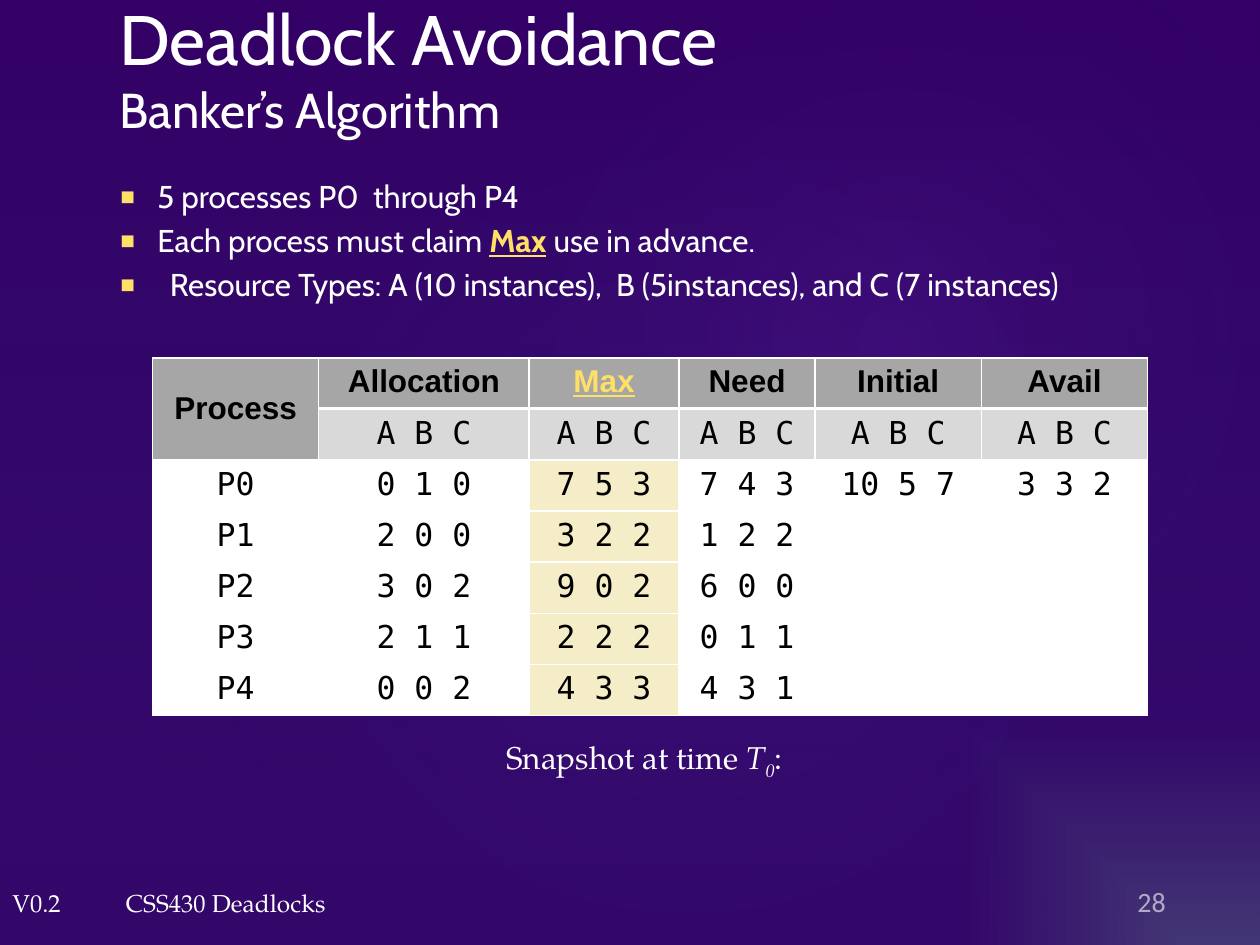
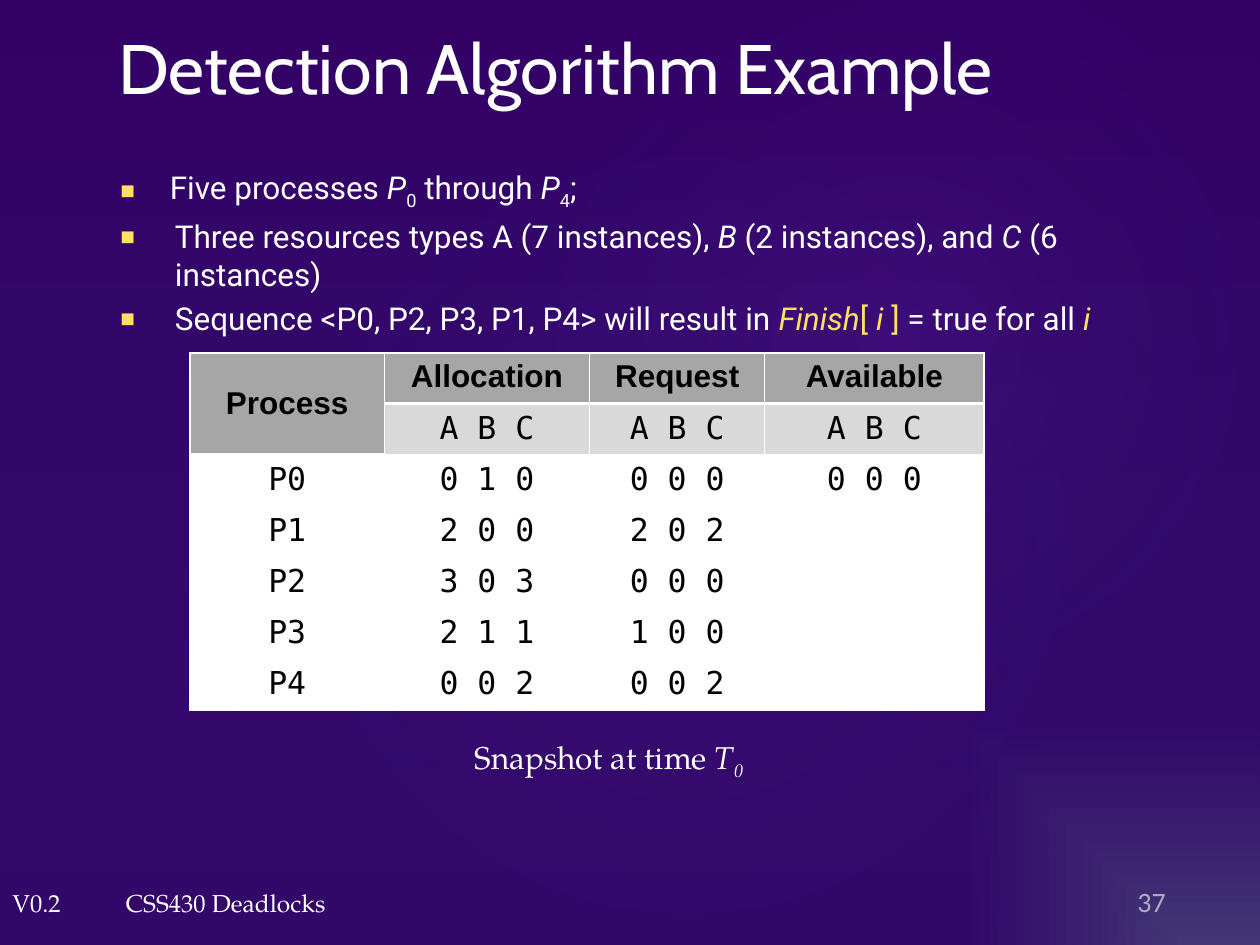
from dataclasses import dataclass
from typing import NamedTuple

from pptx import Presentation, util as u
from pptx.dml.color import RGBColor
from pptx.enum import shapes, text
from pptx.oxml import parse_xml
from pptx.oxml.ns import nsdecls


@dataclass(frozen=True)
class Theme:
    white: str = "FFFFFF"
    black: str = "000000"
    accent: str = "FFE066"
    header: str = "A6A6A6"
    subheader: str = "D9D9D9"
    highlight: str = "F5EDC7"
    title_font: str = "Cabin"
    serif_font: str = "TeX Gyre Pagella"
    header_font: str = "Arial"
    mono_font: str = "DejaVu Sans Mono"
    number_font: str = "Calibri"
    title_size: int = 40
    subtitle_size: int = 28
    body_size: int = 18
    number_size: int = 16
    footer_size: int = 14


THEME = Theme()


class Box(NamedTuple):
    left: float
    top: float
    width: float
    height: float

    def lengths(self) -> list[u.Length]:
        return [u.Inches(value) for value in self]


class Stop(NamedTuple):
    position: int
    color: str
    opacity: int = 100


class Piece(NamedTuple):
    """A stretch of text and how it differs from the text around it."""
    content: str
    format: dict = {}


class Bullet(NamedTuple):
    pieces: list[Piece]
    margin: float
    hanging: float


class Glow(NamedTuple):
    box: Box
    kind: shapes.MSO_SHAPE
    stops: list[Stop]
    direction: str
    rotation: float = 0


class Column(NamedTuple):
    heading: str
    width: float
    values: list[str]
    highlighted: bool = False


class DeckSlide(NamedTuple):
    number: int
    title: list[Piece]
    title_left: float
    body_top: float
    body_font: str
    bullets: list[Bullet]
    table_box: Box
    columns: list[Column]
    caption_box: Box
    caption: list[Piece]


ITALIC = {"italic": True}
SUBSCRIPT = {"baseline": -25}
ACCENT = {"color": THEME.accent}
ACCENT_ITALIC = ACCENT | ITALIC
KEYWORD = ACCENT | {"bold": True, "underline": True}

# Gradient directions and the shared backdrop
DOWN = '<a:lin ang="5400000" scaled="0"/>'
CENTRE = ('<a:path path="circle"><a:fillToRect l="50000" t="50000" '
          'r="50000" b="50000"/></a:path>')
CORNER = '<a:path path="rect"><a:fillToRect l="100000" t="100000"/></a:path>'
BACKGROUND = [Stop(0, "463673"), Stop(47, "350267"), Stop(100, "350267")]
GLOWS = [
    Glow(Box(0, 0, 10, 7.5), shapes.MSO_SHAPE.RECTANGLE,
         [Stop(0, "330066", 36), Stop(100, "263B86", 10)], DOWN),
    Glow(Box(1.5, 1.14, 7.92, 6.24), shapes.MSO_SHAPE.OVAL,
         [Stop(0, "A347FF", 7), Stop(58, "263B86", 0)], CENTRE, 328.7),
    Glow(Box(3.58, 0.13, 7.09, 5.2), shapes.MSO_SHAPE.OVAL,
         [Stop(0, "A347FF", 8), Stop(58, "263B86", 0)], CENTRE, 328.7),
]


def gradient(stops: list[Stop], direction: str):
    marks = "".join(
        f'<a:gs pos="{stop.position * 1000}"><a:srgbClr val="{stop.color}">'
        f'<a:alpha val="{stop.opacity * 1000}"/></a:srgbClr></a:gs>'
        for stop in stops)
    return parse_xml(f'<a:gradFill {nsdecls("a")} rotWithShape="1">'
                     f'<a:gsLst>{marks}</a:gsLst>{direction}</a:gradFill>')


def write(paragraph, pieces: list[Piece], base: dict) -> None:
    for piece in pieces:
        if piece.content == "\n":
            paragraph.add_line_break()
            continue
        run = paragraph.add_run()
        run.text = piece.content
        values = base | piece.format
        run.font.color.rgb = RGBColor.from_string(values.pop("color"))
        baseline = values.pop("baseline", 0)
        if baseline:
            run.font._element.set("baseline", str(baseline * 1000))
        opacity = values.pop("opacity", 100)
        if opacity < 100:
            color = run.font._element.xpath(".//a:srgbClr")[0]
            color.append(parse_xml(
                f'<a:alpha {nsdecls("a")} val="{opacity * 1000}"/>'))
        for name, value in values.items():
            setattr(run.font, name, value)


def style(font: str, size: int, color: str = THEME.white, **extra) -> dict:
    return {"name": font, "size": u.Pt(size), "color": color} | extra


def add_text(slide, box: Box, pieces: list[Piece], base: dict, **frame_format):
    frame = slide.shapes.add_textbox(*box.lengths()).text_frame
    for name, value in ({"word_wrap": True} | frame_format).items():
        setattr(frame, name, value)
    write(frame.paragraphs[0], pieces, base)
    return frame


def draw_backdrop(slide) -> None:
    slide.background.fill.solid()
    properties = slide._element.xpath(".//p:bgPr")[0]
    properties.replace(properties[0], gradient(BACKGROUND, CORNER))
    for glow in GLOWS:
        shape = slide.shapes.add_shape(glow.kind, *glow.box.lengths())
        shape.rotation = glow.rotation
        shape.shadow.inherit = False
        shape.line.fill.background()
        shape._element.spPr.insert(2, gradient(glow.stops, glow.direction))


def draw_footer(slide, number: int) -> None:
    footer = style(THEME.serif_font, THEME.footer_size)
    add_text(slide, Box(0, 7, 0.59, 0.34), [Piece("V0.2")], footer,
             word_wrap=False)
    add_text(slide, Box(0.9, 7, 5.68, 0.34), [Piece("CSS430 Deadlocks")], footer)
    frame = add_text(slide, Box(8.23, 6.93, 1.12, 0.4), [Piece(str(number))],
                     style(THEME.number_font, THEME.number_size, opacity=60),
                     vertical_anchor=text.MSO_ANCHOR.MIDDLE,
                     margin_bottom=u.Inches(0.01))
    frame.paragraphs[0].alignment = text.PP_ALIGN.RIGHT


def draw_bullets(slide, top: float, bullets: list[Bullet], font: str) -> None:
    frame = add_text(slide, Box(0.85, top, 8.5, 1.53), [], {},
                     vertical_anchor=text.MSO_ANCHOR.MIDDLE)
    for index, bullet in enumerate(bullets):
        paragraph = frame.add_paragraph() if index else frame.paragraphs[0]
        write(paragraph, bullet.pieces, style(font, THEME.body_size))
        properties = paragraph._p.get_or_add_pPr()
        properties.set("marL", str(u.Inches(bullet.margin)))
        properties.set("indent", str(-u.Inches(bullet.hanging)))
        for markup in ('<a:spcBef {}><a:spcPct val="20000"/></a:spcBef>',
                       '<a:buClr {}><a:srgbClr val="%s"/></a:buClr>' % THEME.accent,
                       '<a:buSzPct {} val="150000"/>',
                       '<a:buFont {} typeface="Arial"/>',
                       '<a:buChar {} char="▪"/>'):
            properties.append(parse_xml(markup.format(nsdecls("a"))))


def set_borders(cell, row: int) -> None:
    properties = cell._tc.get_or_add_tcPr()
    widths = {"L": 1, "R": 1, "T": 2 if row == 1 else 1, "B": 2 if row == 0 else 1}
    for side, width in widths.items():
        properties.append(parse_xml(
            f'<a:ln{side} {nsdecls("a")} w="{u.Pt(width)}"><a:solidFill>'
            f'<a:srgbClr val="{THEME.white}"/></a:solidFill></a:ln{side}>'))


def draw_table(slide, box: Box, columns: list[Column]) -> None:
    row_count = 7
    table = slide.shapes.add_table(row_count, len(columns), *box.lengths()).table
    table.horz_banding = False
    for row in table.rows:
        row.height = u.Inches(box.height / row_count)
    heading_style = style(THEME.header_font, THEME.body_size, THEME.black, bold=True)
    value_style = style(THEME.mono_font, THEME.body_size, THEME.black, bold=False)
    for index, column in enumerate(columns):
        table.columns[index].width = u.Inches(column.width)
        heading_format = ACCENT | {"underline": True} if column.highlighted else {}
        value_fill = THEME.highlight if column.highlighted else THEME.white
        letters = "A B C" if index else ""
        contents = [column.heading, letters, *column.values]
        contents += [""] * (row_count - len(contents))
        for row, content in enumerate(contents):
            cell = table.cell(row, index)
            set_borders(cell, row)
            cell.fill.solid()
            cell.fill.fore_color.rgb = RGBColor.from_string(
                (THEME.header, THEME.subheader)[row] if row < 2 else value_fill)
            paragraph = cell.text_frame.paragraphs[0]
            paragraph.alignment = text.PP_ALIGN.CENTER
            if content:
                piece = Piece(content, {} if row else heading_format)
                write(paragraph, [piece], value_style if row else heading_style)
    process = table.cell(0, 0)
    process.merge(table.cell(1, 0))
    process.vertical_anchor = text.MSO_ANCHOR.MIDDLE


def draw_slide(presentation, content: DeckSlide) -> None:
    slide = presentation.slides.add_slide(presentation.slide_layouts[6])
    draw_backdrop(slide)
    draw_footer(slide, content.number)
    add_text(slide, Box(content.title_left, 0, 8.5, 1.06), content.title,
             style(THEME.title_font, THEME.title_size),
             vertical_anchor=text.MSO_ANCHOR.MIDDLE)
    draw_bullets(slide, content.body_top, content.bullets, content.body_font)
    draw_table(slide, content.table_box, content.columns)
    add_text(slide, content.caption_box, content.caption,
             style(THEME.serif_font, THEME.body_size), word_wrap=False)


# Slide contents
PROCESSES = [f"P{index}" for index in range(5)]
SNAPSHOT = [Piece("Snapshot at time "), Piece("T", ITALIC),
            Piece("0", ITALIC | SUBSCRIPT)]
SLIDES = [
    DeckSlide(
        28,
        [Piece("Deadlock Avoidance"), Piece("\n"),
         Piece("Banker’s Algorithm", {"size": u.Pt(THEME.subtitle_size)})],
        0.85, 1.14, THEME.title_font,
        [Bullet([Piece("5 processes P0  through P4")], 0.3, 0.4),
         Bullet([Piece("Each process must claim "), Piece("Max", KEYWORD),
                 Piece(" use in advance.")], 0.3, 0.4),
         Bullet([Piece("Resource Types: A (10 instances),  B (5instances), "
                       "and C (7 instances)")], 0.4, 0.4)],
        Box(1.21, 2.84, 7.9, 2.84),
        [Column("Process", 1.32, PROCESSES),
         Column("Allocation", 1.67, ["0 1 0", "2 0 0", "3 0 2", "2 1 1", "0 0 2"]),
         Column("Max", 1.19, ["7 5 3", "3 2 2", "9 0 2", "2 2 2", "4 3 3"], True),
         Column("Need", 1.08, ["7 4 3", "1 2 2", "6 0 0", "0 1 1", "4 3 1"]),
         Column("Initial", 1.32, ["10 5 7"]),
         Column("Avail", 1.32, ["3 3 2"])],
        Box(3.92, 5.81, 2.47, 0.4), SNAPSHOT + [Piece(":")]),
    DeckSlide(
        37, [Piece("Detection Algorithm Example")], 0.84, 1.24, "Roboto",
        [Bullet([Piece("Five processes "), Piece("P", ITALIC), Piece("0", SUBSCRIPT),
                 Piece(" through "), Piece("P", ITALIC), Piece("4", SUBSCRIPT),
                 Piece(";")], 0.4, 0.4),
         Bullet([Piece("Three resources types A (7 instances), "),
                 Piece("B ", ITALIC), Piece("(2 instances), and "),
                 Piece("C", ITALIC), Piece(" (6 instances)")], 0.44, 0.44),
         Bullet([Piece("Sequence <P0, P2, P3, P1, P4> will result in "),
                 Piece("Finish", ACCENT_ITALIC), Piece("[ ", ACCENT),
                 Piece("i ", ACCENT_ITALIC), Piece("] ", ACCENT),
                 Piece("= true for all "), Piece("i", ACCENT_ITALIC)], 0.44, 0.44)],
        Box(1.51, 2.8, 6.3, 2.84),
        [Column("Process", 1.54, PROCESSES),
         Column("Allocation", 1.63, ["0 1 0", "2 0 0", "3 0 3", "2 1 1", "0 0 2"]),
         Column("Request", 1.39, ["0 0 0", "2 0 2", "0 0 0", "1 0 0", "0 0 2"]),
         Column("Available", 1.74, ["0 0 0"])],
        Box(3.67, 5.81, 2.43, 0.4), SNAPSHOT),
]


def main() -> None:
    presentation = Presentation()
    presentation.slide_width = u.Inches(10)
    presentation.slide_height = u.Inches(7.5)
    for content in SLIDES:
        draw_slide(presentation, content)
    presentation.save("out.pptx")


if __name__ == "__main__":
    main()
